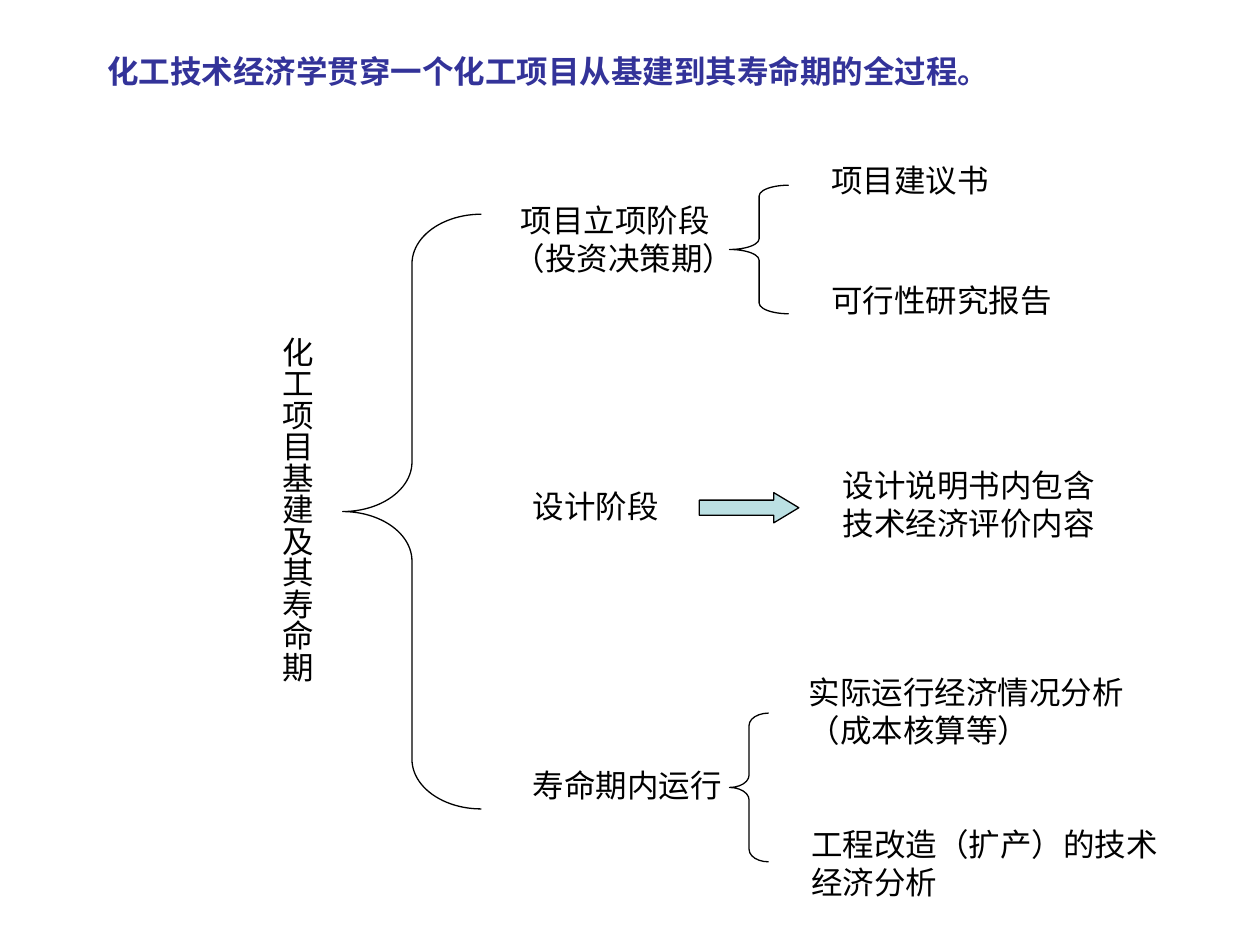
from dataclasses import dataclass

import pptx
import pptx.dml.color
import pptx.enum.shapes
import pptx.enum.text
import pptx.util

Inches = pptx.util.Inches
ShapeKind = pptx.enum.shapes.MSO_SHAPE

COLORS = {"title": "333399", "ink": "000000", "arrow": "BBE0E3"}
FONT = "Arial"


@dataclass(frozen=True)
class Frame:
    left: float
    top: float
    width: float
    height: float

    def lengths(self) -> tuple:
        return tuple(Inches(v) for v in (self.left, self.top, self.width, self.height))


@dataclass(frozen=True)
class Label:
    text: str
    frame: Frame
    vertical: bool = False


TITLE = Label("化工技术经济学贯穿一个化工项目从基建到其寿命期的全过程。",
              Frame(0.75, 0.36, 7.4, 0.4))
LABELS = [
    Label("化工项目基建及其寿命期", Frame(2.06, 2.57, 0.5, 2.99), vertical=True),
    Label(" 项目立项阶段（投资决策期）", Frame(3.98, 1.55, 2.05, 0.7)),
    Label("项目建议书", Frame(6.5, 1.23, 1.81, 0.4)),
    Label("可行性研究报告", Frame(6.5, 2.18, 2.05, 0.4)),
    Label("设计阶段", Frame(4.13, 3.82, 1.34, 0.4)),
    Label("设计说明书内包含技术经济评价内容", Frame(6.59, 3.65, 2.35, 0.7)),
    Label("寿命期内运行", Frame(4.13, 6.03, 1.81, 0.4)),
    Label("实际运行经济情况分析（成本核算等）", Frame(6.32, 5.29, 2.91, 0.7)),
    Label("工程改造（扩产）的技术经济分析", Frame(6.34, 6.5, 2.99, 0.7)),
]
BRACES = [
    Frame(2.72, 1.7, 1.1, 4.72),
    Frame(5.79, 1.47, 0.47, 1.02),
    Frame(5.79, 5.66, 0.31, 1.18),
]
ARROW = Frame(5.55, 3.91, 0.79, 0.24)


def rgb(name: str) -> pptx.dml.color.RGBColor:
    return pptx.dml.color.RGBColor.from_string(COLORS[name])


def write(box, label: Label, color: str, bold: bool = False) -> None:
    frame = box.text_frame
    frame.word_wrap = True
    frame.auto_size = pptx.enum.text.MSO_AUTO_SIZE.NONE
    frame.vertical_anchor = pptx.enum.text.MSO_ANCHOR.TOP
    along, across = Inches(0.1), Inches(0.05)
    if label.vertical:
        along, across = across, along
        box.element.txBody.bodyPr.set("vert", "eaVert")
    frame.margin_left = frame.margin_right = along
    frame.margin_top = frame.margin_bottom = across
    para = frame.paragraphs[0]
    para.alignment = pptx.enum.text.PP_ALIGN.LEFT
    span = para.add_run()
    span.text = label.text
    span.font.name = FONT
    span.font.size = pptx.util.Pt(18)
    span.font.bold = bold
    span.font.color.rgb = rgb(color)


def add_outlined(page, kind, frame: Frame, adjustments: list[float]):
    shape = page.shapes.add_shape(kind, *frame.lengths())
    shape.shadow.inherit = False
    shape.line.color.rgb = rgb("ink")
    shape.line.width = pptx.util.Pt(0.75)
    for index, value in enumerate(adjustments):
        shape.adjustments[index] = value
    return shape


def add_brace(page, frame: Frame) -> None:
    """Draw a left brace whose curves are each a twelfth of its height."""
    curve = frame.height / 12 / min(frame.width, frame.height)
    brace = add_outlined(page, ShapeKind.LEFT_BRACE, frame, [curve, 0.5])
    brace.fill.background()


def main() -> None:
    deck = pptx.Presentation()
    deck.slide_width, deck.slide_height = Inches(10), Inches(7.5)
    page = deck.slides.add_slide(deck.slide_layouts.get_by_name("Title Only"))

    title = page.shapes.title
    title.left, title.top, title.width, title.height = TITLE.frame.lengths()
    write(title, TITLE, "title", bold=True)

    for label in LABELS:
        write(page.shapes.add_textbox(*label.frame.lengths()), label, "ink")
    for frame in BRACES:
        add_brace(page, frame)
    arrow = add_outlined(page, ShapeKind.RIGHT_ARROW, ARROW, [0.5, 0.83])
    arrow.fill.solid()
    arrow.fill.fore_color.rgb = rgb("arrow")

    deck.save("out.pptx")


if __name__ == "__main__":
    main()
